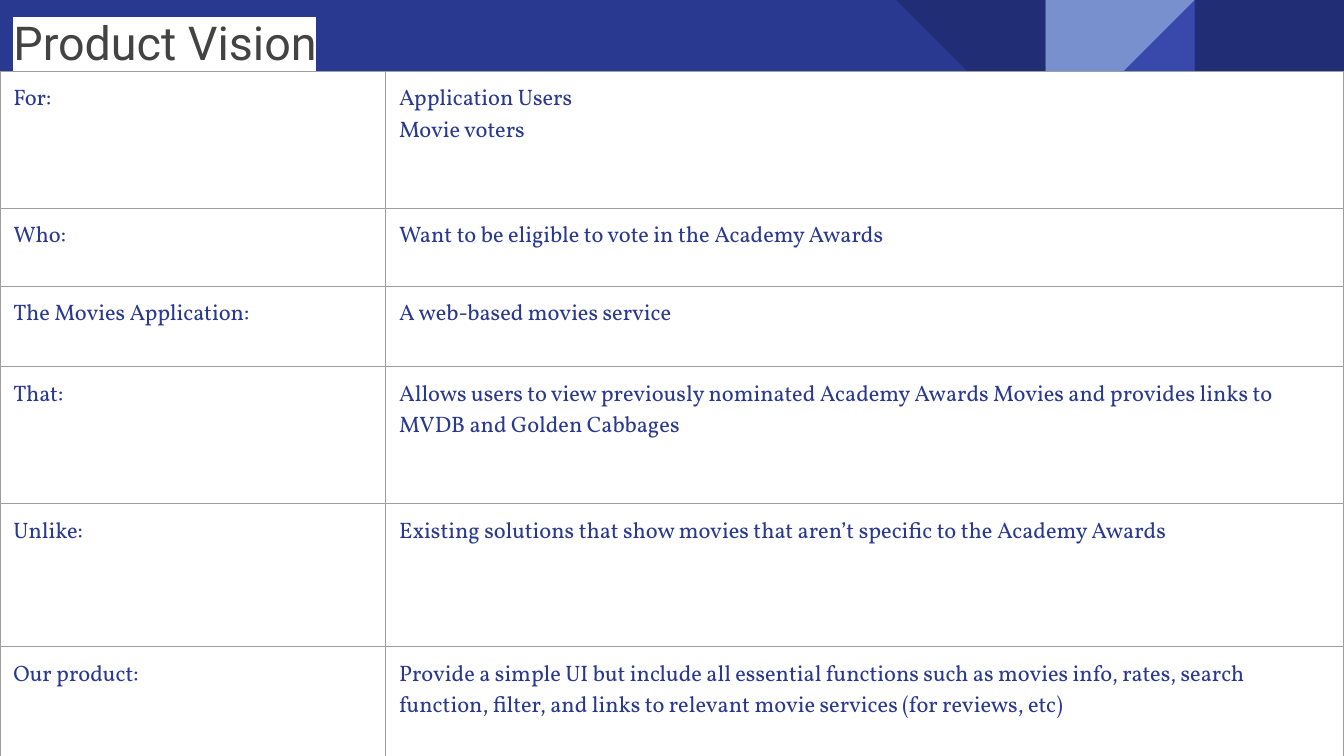
from dataclasses import dataclass

from lxml.etree import SubElement
from pptx import Presentation
from pptx.dml.color import RGBColor
from pptx.enum.shapes import MSO_SHAPE as Shape
from pptx.enum.text import MSO_ANCHOR as Anchor, MSO_AUTO_SIZE as AutoSize, PP_ALIGN as Align
from pptx.oxml.ns import qn
from pptx.util import Inches, Pt

WIDTH = 10
HEIGHT = WIDTH * 9 / 16
TILE = WIDTH / 9
BAND = 0.53
INSET = 0.1
COLUMNS = (2.87, 7.13)
NAVY, DARK, MID, PALE = "2A3990", "212D74", "3949AB", "7890CD"
WHITE, INK, RULE = "FFFFFF", "434343", "9E9E9E"


@dataclass
class Tile:
    column: int
    preset: Shape
    turn: int
    color: str


@dataclass
class Statement:
    label: str
    lines: tuple[str, ...]
    height: float


TILES = (
    Tile(8, Shape.RECTANGLE, 0, DARK),
    Tile(7, Shape.RIGHT_TRIANGLE, 270, MID),
    Tile(7, Shape.RIGHT_TRIANGLE, 90, PALE),
    Tile(6, Shape.RIGHT_TRIANGLE, 180, DARK),
)

STATEMENTS = (
    Statement("For:", ("Application Users", "Movie voters"), 1.02),
    Statement("Who:", ("Want to be eligible to vote in the Academy Awards",), 0.58),
    Statement("The Movies Application:", ("A web-based movies service",), 0.6),
    Statement("That:", ("Allows users to view previously nominated Academy Awards Movies "
                        "and provides links to MVDB and Golden Cabbages",), 1.02),
    Statement("Unlike:", ("Existing solutions that show movies that aren’t specific "
                          "to the Academy Awards",), 1.06),
    Statement("Our product:", ("Provide a simple UI but include all essential functions such as "
                               "movies info, rates, search function, filter, and links to "
                               "relevant movie services (for reviews, etc)",), 1.27),
)


def paint(fill, color: str) -> None:
    fill.solid()
    fill.fore_color.rgb = RGBColor.from_string(color)


def add_span(para, text: str, font: str, size: float, color: str):
    span = para.add_run()
    span.text = text
    span.font.size = Pt(size)
    paint(span.font.fill, color)
    span.font.name = font
    return span


def highlight(span, color: str) -> None:
    mark = SubElement(span.font._element, qn("a:highlight"))
    SubElement(mark, qn("a:srgbClr"), val=color)
    span.font._element.find(qn("a:solidFill")).addnext(mark)


def add_tile(page, tile: Tile) -> None:
    shape = page.shapes.add_shape(tile.preset, Inches(tile.column * TILE), 0,
                                  Inches(TILE), Inches(TILE))
    shape.rotation = tile.turn
    shape.shadow.inherit = False
    shape.line.fill.background()
    paint(shape.fill, tile.color)


def set_title(page, text: str) -> None:
    title = page.shapes.title
    title.left, title.top, title.width, title.height = 0, 0, Inches(WIDTH), Inches(HEIGHT)
    frame = title.text_frame
    frame.auto_size = AutoSize.NONE
    frame.word_wrap = True
    frame.vertical_anchor = Anchor.TOP
    frame.margin_left = frame.margin_right = Inches(INSET)
    frame.margin_top = frame.margin_bottom = Inches(INSET)
    para = frame.paragraphs[0]
    para.alignment = Align.LEFT
    para.space_before = Pt(0)
    highlight(add_span(para, text, "Roboto", 25, INK), WHITE)


def add_borders(cell) -> None:
    props = cell._tc.get_or_add_tcPr()
    for side in ("lnL", "lnR", "lnT", "lnB"):
        line = SubElement(props, qn(f"a:{side}"), w=str(Pt(0.75)))
        fill = SubElement(line, qn("a:solidFill"))
        SubElement(fill, qn("a:srgbClr"), val=RULE)


def fill_cell(cell, lines: tuple[str, ...]) -> None:
    cell.margin_left = cell.margin_right = Inches(INSET)
    cell.margin_top = cell.margin_bottom = Inches(INSET)
    add_borders(cell)
    paint(cell.fill, WHITE)
    frame = cell.text_frame
    for index, line in enumerate(lines):
        para = frame.add_paragraph() if index else frame.paragraphs[0]
        add_span(para, line, "Vollkorn", 12, NAVY)


def add_vision_table(page, statements: tuple[Statement, ...]) -> None:
    total = sum(statement.height for statement in statements)
    table = page.shapes.add_table(len(statements), len(COLUMNS), 0, Inches(BAND),
                                  Inches(WIDTH), Inches(total)).table
    table.first_row = table.horz_banding = False
    for column, width in zip(table.columns, COLUMNS):
        column.width = Inches(width)
    for row, statement in zip(table.rows, statements):
        row.height = Inches(statement.height)
        fill_cell(row.cells[0], (statement.label,))
        fill_cell(row.cells[1], statement.lines)


def main() -> None:
    deck = Presentation()
    deck.slide_width, deck.slide_height = Inches(WIDTH), Inches(HEIGHT)
    page = deck.slides.add_slide(deck.slide_layouts[5])
    paint(page.background.fill, NAVY)
    for tile in TILES:
        add_tile(page, tile)
    set_title(page, "Product Vision")
    add_vision_table(page, STATEMENTS)
    deck.save("out.pptx")


if __name__ == "__main__":
    main()
